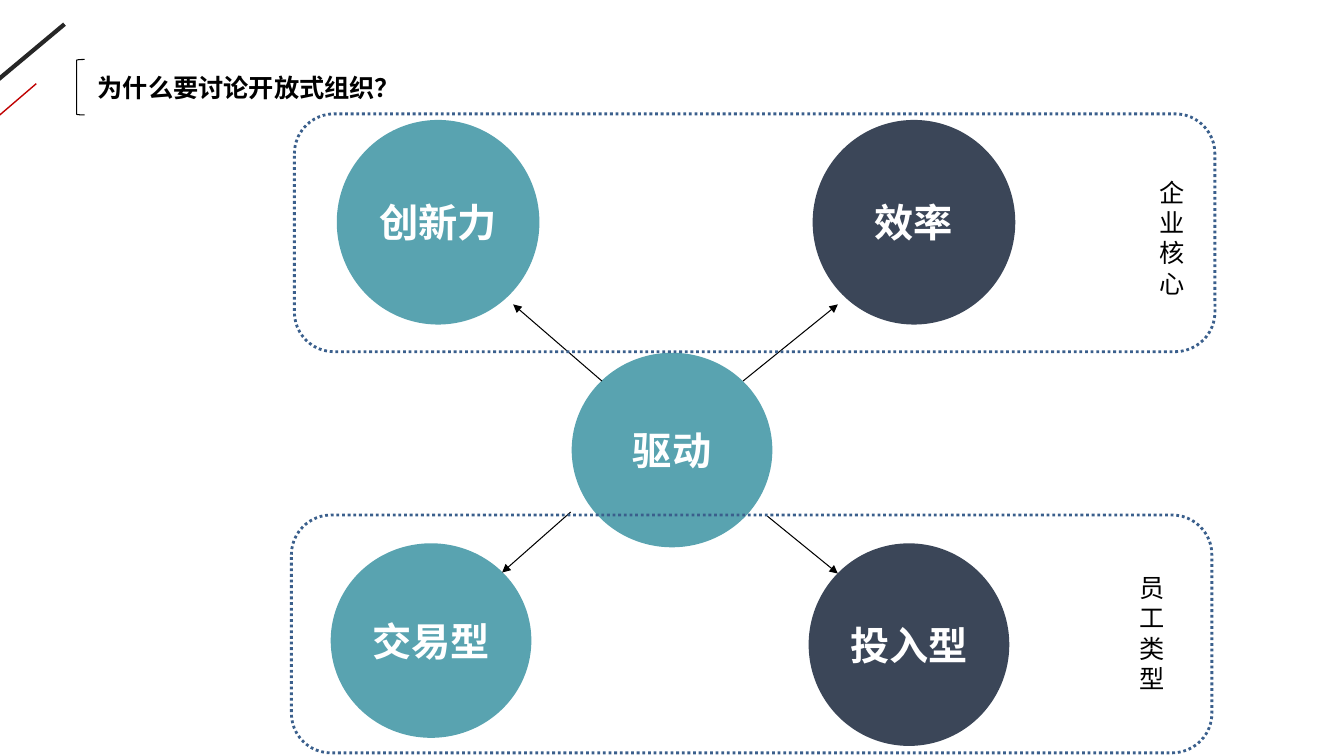
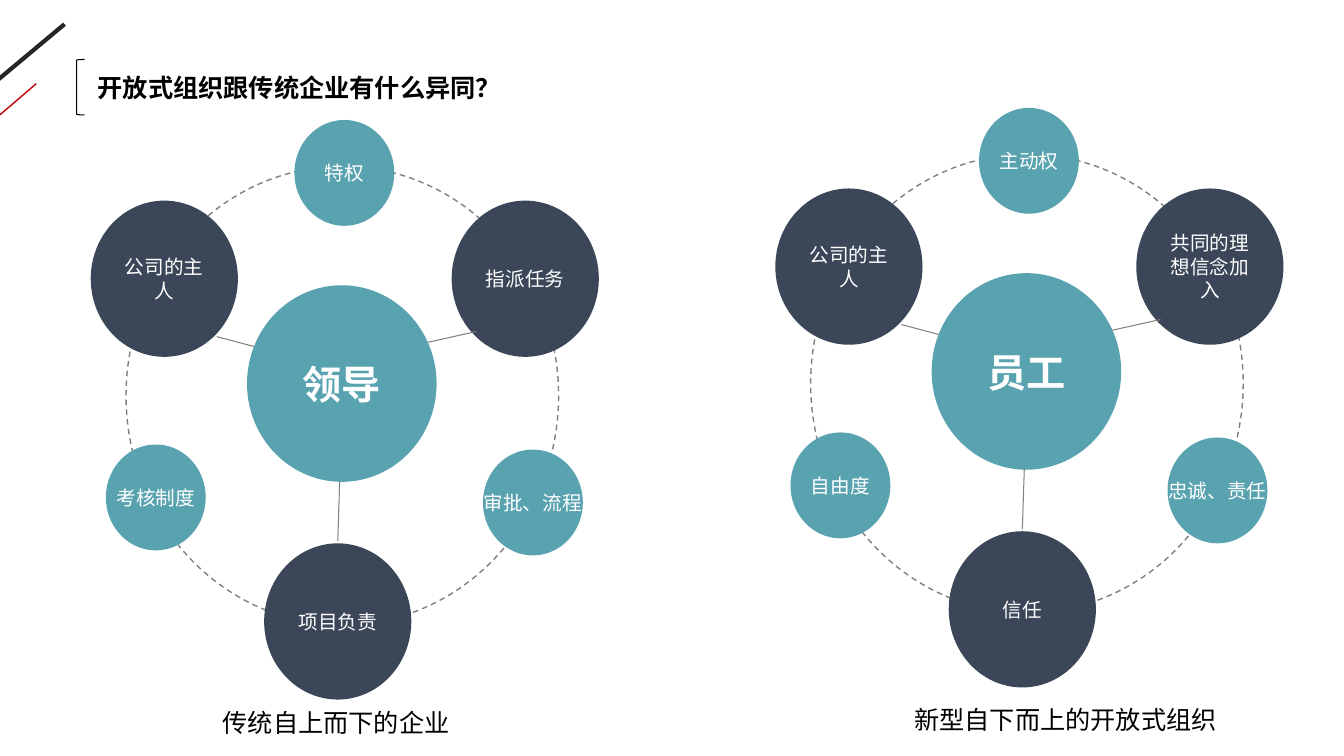
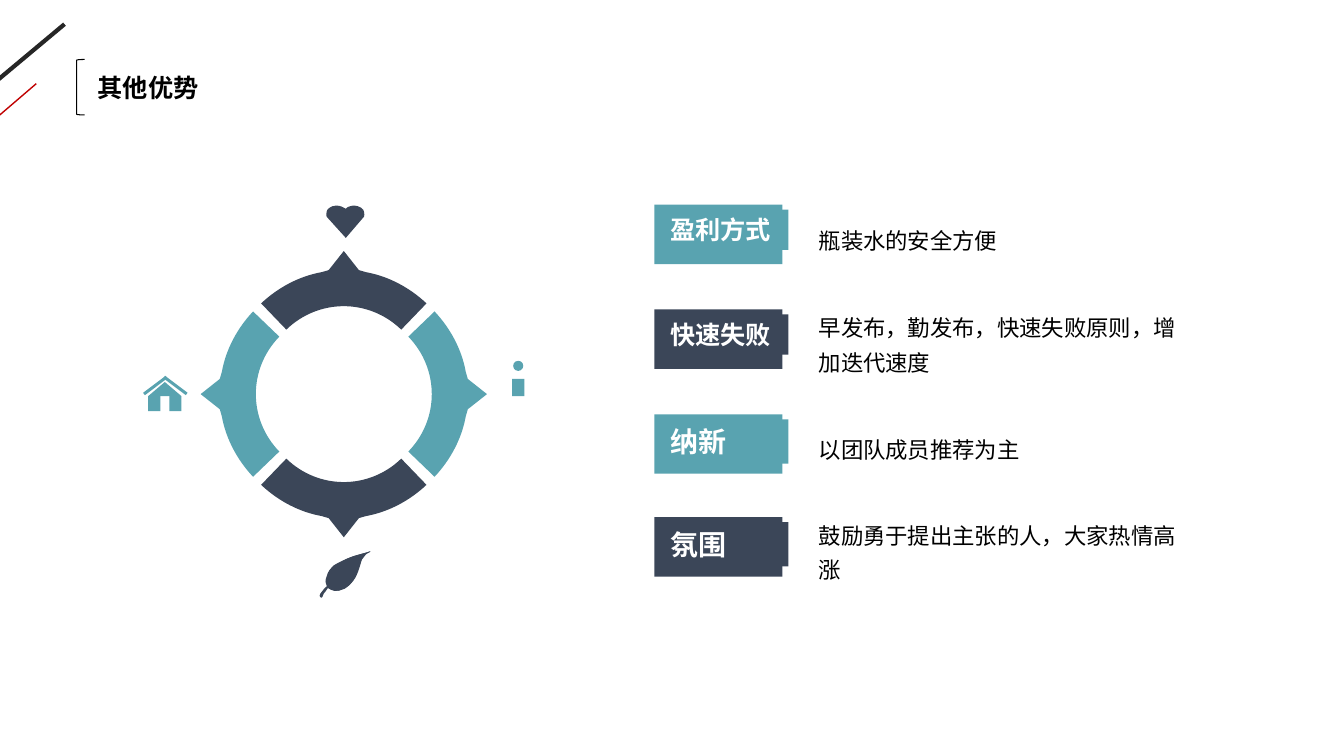
from lxml import etree
from pptx import Presentation
from pptx import util as u
from pptx.dml.color import RGBColor
from pptx.enum import dml, shapes, text
from pptx.oxml.ns import qn

COLOURS = {"teal": "59A3B0", "navy": "3B4658", "frame": "3A5F8C", "grey": "808080",
           "black": "000000", "white": "FFFFFF", "slash": "262626", "red": "C00000"}
BODY, DISPLAY, CJK = "Arial", "Roboto Condensed", "Noto Sans CJK SC"
SHAPE = shapes.MSO_SHAPE

# Slide 1: circles are (text, colour, wraps, left, top, width, height)
WHY_TITLE = "为什么要讨论开放式组织？"
WHY_CIRCLES = [
    ("效率", "navy", True, 8.06, 1.19, 2.01, 2.03),
    ("创新力", "teal", False, 3.34, 1.19, 2.01, 2.03),
    ("驱动", "teal", False, 5.67, 3.5, 1.99, 1.93),
    ("交易型", "teal", False, 3.28, 5.39, 1.99, 1.93),
    ("投入型", "navy", True, 8.02, 5.39, 1.99, 2.01),
]
WHY_ARROWS = [(5.66, 5.08, 4.98, 5.68), (7.61, 5.12, 8.31, 5.69),
              (5.97, 3.78, 5.09, 3.02), (7.37, 3.78, 8.31, 3.02)]
WHY_FRAMES = [(2.92, 1.13, 9.13, 2.36), (2.89, 5.11, 9.13, 2.36)]
WHY_LABELS = [("员工类型", 11.2, 5.63), ("企业核心", 11.4, 1.71)]

# Slide 2: node and spoke places are measured from the corner of the dashed ring
COMPARE_TITLE = "开放式组织跟传统企业有什么异同？"
RING_SIZE = (4.29, 4.55)
LARGE_SIZE, LARGE_PLACES = (1.46, 1.55), [(3.23, 0.34), (-0.35, 0.34), (1.37, 3.74)]
SMALL_SIZE, SMALL_PLACES = (0.99, 1.05), [(1.67, -0.46), (-0.2, 2.76), (3.54, 2.81)]
HUB_PLACE, HUB_SIZE = (1.2, 1.18), (1.88, 1.95)
SPOKES = [(2.1, 3.72, 2.12, 3.1), (0.9, 1.69, 1.43, 1.83), (3.47, 1.64, 2.84, 1.78)]
WHEELS = [
    {"corner": (8.04, 1.53), "hub": "员工",
     "large": ["共同的理想信念加入", "公司的主人", "信任"],
     "small": ["主动权", "自由度", "忠诚、责任"],
     "caption": ("新型自下而上的开放式组织", 8.97, 6.94, 3.23)},
    {"corner": (1.25, 1.65), "hub": "领导",
     "large": ["指派任务", "公司的主人", "项目负责"],
     "small": ["特权", "考核制度", "审批、流程"],
     "caption": ("传统自上而下的企业", 2.11, 6.97, 2.48)},
]

# Slide 3: rows are (tag, tag size, tag height, colour, top, text, text height)
MORE_TITLE = "其他优势"
MORE_ROWS = [
    ("盈利方式", 18, 0.4, "teal", 2.03, "瓶装水的安全方便", 0.39),
    ("快速失败", 18, 0.4, "navy", 3.07, "早发布，勤发布，快速失败原则，增加迭代速度", 0.74),
    ("纳新", 20, 0.44, "teal", 4.11, "以团队成员推荐为主", 0.39),
    ("氛围", 20, 0.44, "navy", 5.13, "鼓励勇于提出主张的人，大家热情高涨", 0.74),
]
# Outlines: a start point, then segments of one point (line) or three (Bezier curve)
DIAL_CENTRE = (3.41, 3.91)
DIAL_COLOURS = ["teal", "navy", "teal", "navy"]
DIAL_QUARTER = ((0.9, -0.82), [
    ((1.06, -0.65), (1.17, -0.44), (1.21, -0.22)), ((1.23, -0.15),), ((1.42, 0),),
    ((1.23, 0.15),), ((1.21, 0.22),), ((1.17, 0.44), (1.06, 0.65), (0.9, 0.82)),
    ((0.64, 0.57),), ((0.95, 0.25), (0.95, -0.25), (0.64, -0.57))])
HEART = ((3.43, 2.07), [
    ((3.42, 2.07), (3.4, 2.05), (3.39, 2.05)), ((3.37, 2.04), (3.35, 2.04), (3.33, 2.04)),
    ((3.31, 2.04), (3.28, 2.05), (3.27, 2.06)), ((3.25, 2.07), (3.24, 2.09), (3.24, 2.1)),
    ((3.23, 2.12), (3.24, 2.14), (3.24, 2.15)), ((3.43, 2.36),), ((3.61, 2.15),),
    ((3.61, 2.14), (3.62, 2.12), (3.61, 2.1)), ((3.61, 2.09), (3.6, 2.07), (3.58, 2.06)),
    ((3.56, 2.05), (3.54, 2.04), (3.52, 2.04)), ((3.5, 2.04), (3.48, 2.04), (3.46, 2.05)),
    ((3.45, 2.05), (3.43, 2.07), (3.43, 2.07))])
LEAF = ((3.24, 5.81), [
    ((3.23, 5.78), (3.22, 5.77), (3.24, 5.72)), ((3.25, 5.67), (3.28, 5.64), (3.31, 5.61)),
    ((3.34, 5.59), (3.44, 5.54), (3.5, 5.52)), ((3.56, 5.5), (3.65, 5.48), (3.67, 5.47)),
    ((3.69, 5.47), (3.63, 5.49), (3.62, 5.5)), ((3.61, 5.52), (3.6, 5.52), (3.59, 5.55)),
    ((3.57, 5.58), (3.55, 5.66), (3.53, 5.7)), ((3.51, 5.75), (3.49, 5.78), (3.46, 5.81)),
    ((3.43, 5.83), (3.39, 5.85), (3.36, 5.86)), ((3.33, 5.87), (3.3, 5.86), (3.28, 5.85)),
    ((3.26, 5.84), (3.24, 5.83), (3.24, 5.81))])
STEM = ((3.27, 5.81), [
    ((3.26, 5.82), (3.23, 5.87), (3.21, 5.89)), ((3.2, 5.91), (3.2, 5.93), (3.19, 5.93)),
    ((3.18, 5.93), (3.17, 5.92), (3.17, 5.91)), ((3.17, 5.9), (3.18, 5.88), (3.2, 5.86)),
    ((3.21, 5.84), (3.25, 5.81), (3.26, 5.8)), ((3.27, 5.8), (3.28, 5.79), (3.27, 5.81))])
LEAF_SIDE = ((3.67, 5.47), [
    ((3.69, 5.47), (3.64, 5.49), (3.63, 5.5)), ((3.61, 5.52), (3.61, 5.52), (3.59, 5.55)),
    ((3.58, 5.58), (3.56, 5.66), (3.54, 5.7)), ((3.52, 5.75), (3.49, 5.78), (3.46, 5.81)),
    ((3.42, 5.84),), ((3.36, 5.86),), ((3.32, 5.86),), ((3.41, 5.56),), ((3.45, 5.54),),
    ((3.47, 5.53), (3.49, 5.53), (3.5, 5.52)), ((3.56, 5.5), (3.65, 5.48), (3.67, 5.47))])
LEAF_VEIN = ((3.25, 5.8), [
    ((3.26, 5.78), (3.32, 5.72), (3.35, 5.69)), ((3.38, 5.66), (3.44, 5.62), (3.44, 5.62)),
    ((3.45, 5.62), (3.4, 5.66), (3.38, 5.68)), ((3.35, 5.71), (3.32, 5.74), (3.3, 5.77)),
    ((3.28, 5.79), (3.27, 5.81), (3.26, 5.82)), ((3.25, 5.82), (3.23, 5.82), (3.25, 5.8))])
# Icon parts are (shape, rotation, left, top, width, height)
ICON_PARTS = [
    (SHAPE.OVAL, 0, 5.09, 3.58, 0.1, 0.1), (SHAPE.RECTANGLE, 0, 5.08, 3.76, 0.12, 0.17),
    (SHAPE.RECTANGLE, 323, 1.4, 3.81, 0.28, 0.03),
    (SHAPE.RECTANGLE, 37, 1.6, 3.81, 0.28, 0.03),
    (SHAPE.ISOSCELES_TRIANGLE, 0, 1.47, 3.79, 0.33, 0.14),
    (SHAPE.RECTANGLE, 0, 1.47, 3.93, 0.12, 0.15),
    (SHAPE.RECTANGLE, 0, 1.68, 3.93, 0.12, 0.15)]


def inches(values):
    """Turn plain numbers into lengths."""
    return [u.Inches(value) for value in values]


def rgb(name):
    """Look up a named colour."""
    return RGBColor.from_string(COLOURS[name])


def style(shape, fill=None, line=None, width=1.0, dash=None):
    """Set fill and outline, without a shadow."""
    shape.shadow.inherit = False
    if fill:
        shape.fill.solid()
        shape.fill.fore_color.rgb = rgb(fill)
    else:
        shape.fill.background()
    if line:
        shape.line.color.rgb = rgb(line)
        shape.line.width = u.Pt(width)
        shape.line.dash_style = dash
    else:
        shape.line.fill.background()
    return shape


def add_shape(page, kind, place, **look):
    """Add a preset shape at (left, top, width, height)."""
    return style(page.shapes.add_shape(kind, *inches(place)), **look)


def write(box, words, size, font, colour, bold=False, wrap=True, grow=False,
          align=text.PP_ALIGN.LEFT, anchor=text.MSO_ANCHOR.TOP, spacing=None):
    """Fill a box with text and format every run alike."""
    frame = box.text_frame
    frame.text = words
    frame.word_wrap = wrap
    frame.vertical_anchor = anchor
    if grow:
        frame.auto_size = text.MSO_AUTO_SIZE.SHAPE_TO_FIT_TEXT
    for para in frame.paragraphs:
        para.alignment = align
        if spacing:
            para.line_spacing = spacing
        for span in para.runs:
            span.font.size = u.Pt(size)
            span.font.bold = bold
            span.font.name = font
            span.font.color.rgb = rgb(colour)
            east_asian = etree.SubElement(span.font._element, qn("a:ea"))
            east_asian.set("typeface", CJK)


def add_text(page, words, place, size=18, font=BODY, bold=False, wrap=False, spacing=None):
    """Add a text box that grows with its text."""
    box = page.shapes.add_textbox(*inches(place))
    write(box, words, size, font, "black", bold, wrap, grow=True, spacing=spacing)
    return box


def add_circle(page, words, place, colour, size=28, bold=True, wrap=False):
    """Add a filled ellipse with centred white text."""
    circle = add_shape(page, SHAPE.OVAL, place, fill=colour)
    write(circle, words, size, DISPLAY, "white", bold, wrap,
          align=text.PP_ALIGN.CENTER, anchor=text.MSO_ANCHOR.MIDDLE)


def add_line(page, ends, colour, width=0.75, arrow=False):
    """Add a straight line, with an arrowhead at its end if asked."""
    line = page.shapes.add_connector(shapes.MSO_CONNECTOR.STRAIGHT, *inches(ends))
    line.line.color.rgb = rgb(colour)
    line.line.width = u.Pt(width)
    if arrow:
        etree.SubElement(line.line._get_or_add_ln(), qn("a:tailEnd")).set("type", "triangle")
    etree.SubElement(line._element.spPr, qn("a:effectLst"))


def add_outline(page, outline, colour):
    """Add a closed, filled outline, turning each three-point segment into a curve."""
    start, segments = outline
    builder = page.shapes.build_freeform(*inches(start))
    builder.add_line_segments([inches(point) for segment in segments for point in segment],
                              close=True)
    shape = style(builder.convert_to_shape(), fill=colour)
    trace = next(shape._element.iter(qn("a:path")))
    strokes = iter(trace.findall(qn("a:lnTo")))
    for segment in segments:
        parts = [next(strokes) for _ in segment]
        if len(parts) == 3:
            curve = etree.SubElement(trace, qn("a:cubicBezTo"))
            parts[0].addprevious(curve)
            for part in parts:
                curve.append(part[0])
                trace.remove(part)


def turn_quarter(point, turns):
    """Rotate a dial point by quarter turns and move it to the dial's centre."""
    x, y = point
    for _ in range(turns):
        x, y = -y, x
    return DIAL_CENTRE[0] + x, DIAL_CENTRE[1] + y


def start_page(deck, title, width):
    """Add a blank page with the corner strokes, bracket and title."""
    page = deck.slides.add_slide(deck.slide_layouts[6])
    add_line(page, (0.64, 0.24, -0.21, 0.95), "slash", 3)
    add_line(page, (0.36, 0.83, -0.06, 1.19), "red", 1)
    add_text(page, title, (0.87, 0.67, width, 0.4), bold=True)
    add_shape(page, SHAPE.LEFT_BRACKET, (0.76, 0.59, 0.08, 0.55), line="black", width=0.75)
    return page


def build_why(deck):
    """Build the slide on what drives the company and its staff."""
    page = start_page(deck, WHY_TITLE, 3.23)
    for words, colour, wrap, *place in WHY_CIRCLES:
        add_circle(page, words, place, colour, wrap=wrap)
    for ends in WHY_ARROWS:
        add_line(page, ends, "black", arrow=True)
    for place in WHY_FRAMES:
        add_shape(page, SHAPE.ROUNDED_RECTANGLE, place, line="frame", width=2,
                  dash=dml.MSO_LINE.ROUND_DOT)
    for words, left, top in WHY_LABELS:
        add_text(page, "\n".join(words), (left, top, 0.45, 1.31))


def build_compare(deck):
    """Build the slide that sets two wheels side by side."""
    page = start_page(deck, COMPARE_TITLE, 4.24)
    for wheel in WHEELS:
        x, y = wheel["corner"]
        add_shape(page, SHAPE.OVAL, (x, y, *RING_SIZE), line="grey", dash=dml.MSO_LINE.DASH)
        for words, (dx, dy) in zip(wheel["large"], LARGE_PLACES):
            add_circle(page, words, (x + dx, y + dy, *LARGE_SIZE), "navy", 14, False, True)
        for words, (dx, dy) in zip(wheel["small"], SMALL_PLACES):
            add_circle(page, words, (x + dx, y + dy, *SMALL_SIZE), "teal", 14, False)
        for x1, y1, x2, y2 in SPOKES:
            add_line(page, (x + x1, y + y1, x + x2, y + y2), "grey")
        dx, dy = HUB_PLACE
        add_circle(page, wheel["hub"], (x + dx, y + dy, *HUB_SIZE), "teal")
        words, left, top, width = wheel["caption"]
        add_text(page, words, (left, top, width, 0.4))


def build_more(deck):
    """Build the slide with the dial and four tagged points."""
    page = start_page(deck, MORE_TITLE, 1.21)
    for tag, size, tag_height, colour, top, words, height in MORE_ROWS:
        add_shape(page, SHAPE.RECTANGLE, (6.49, top, 1.27, 0.59), fill=colour)
        front = add_shape(page, SHAPE.RECTANGLE, (6.55, top + 0.05, 1.27, tag_height),
                          fill=colour)
        write(front, tag, size, CJK, "white", bold=True, grow=True)
        middle = top + 0.59 / 2
        box = add_text(page, words, (8.05, middle - height / 2, 3.89, height), 16, CJK,
                       wrap=True, spacing=1.3)
        frame = box.text_frame
        frame.margin_left = frame.margin_right = u.Inches(0.07)
        frame.margin_top = frame.margin_bottom = u.Inches(0.04)
    start, segments = DIAL_QUARTER
    for turns, colour in enumerate(DIAL_COLOURS):
        turned = [[turn_quarter(point, turns) for point in segment] for segment in segments]
        add_outline(page, (turn_quarter(start, turns), turned), colour)
    for outline in (HEART, LEAF, STEM, LEAF_SIDE, LEAF_VEIN):
        add_outline(page, outline, "navy")
    for kind, rotation, *place in ICON_PARTS:
        add_shape(page, kind, place, fill="teal").rotation = rotation


deck = Presentation()
deck.slide_width, deck.slide_height = inches((13.33, 7.5))
build_why(deck)
build_compare(deck)
build_more(deck)
deck.save("out.pptx")
